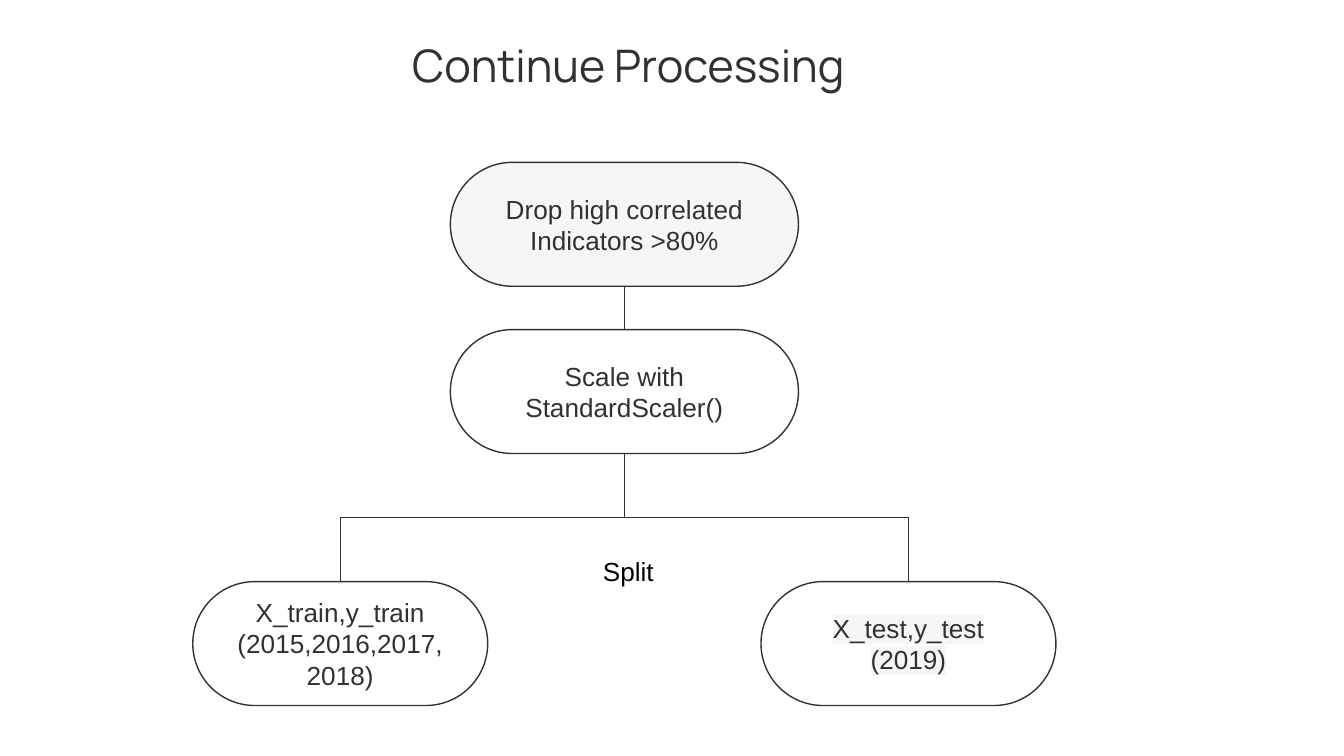
from dataclasses import dataclass

from pptx import Presentation
from pptx.dml.color import RGBColor
from pptx.enum.shapes import MSO_CONNECTOR, MSO_SHAPE
from pptx.enum.text import MSO_ANCHOR, PP_ALIGN
from pptx.oxml.ns import qn
from pptx.oxml.xmlchemy import OxmlElement
from pptx.util import Pt


@dataclass(frozen=True)
class Theme:
    ink: str = "313131"
    label: str = "000000"
    panel: str = "F6F6F8"
    title_font: str = "Manrope"
    body_font: str = "Arial"
    title_size: int = 24
    body_size: int = 14
    line_width: float = 0.75
    inset: float = 7.2


THEME = Theme()
SLIDE_SIZE = (720, 405)
AXIS = 334.5
STEP_HEIGHT = 66.4
STEP_WIDTH, SPLIT_WIDTH = 186.5, 158
SPLIT_OFFSET = 152.2

TITLE = ("Continue Processing", (198, 10.8, 277.2, 47.5))
SPLIT_LABEL = ("Split", (288, 290.2, 97.2, 31.7))
STEPS = {
    "drop": ("Drop high correlated Indicators >80%", AXIS, 87, STEP_WIDTH),
    "scale": ("Scale with StandardScaler()", AXIS, 176.6, STEP_WIDTH),
    "train": ("X_train,y_train\n(2015,2016,2017, 2018)", AXIS - SPLIT_OFFSET, 311.6, SPLIT_WIDTH),
    "test": ("X_test,y_test\n(2019)", AXIS + SPLIT_OFFSET, 311.6, SPLIT_WIDTH),
}
FILLED, HIGHLIGHTED = "drop", "test"
LINKS = [("drop", "scale"), ("scale", "train"), ("scale", "test")]


def write(shape, text, size, font, color, anchor, highlight=None):
    frame = shape.text_frame
    frame.text = text
    frame.word_wrap = True
    frame.vertical_anchor = anchor
    frame.margin_left = frame.margin_right = Pt(THEME.inset)
    frame.margin_top = frame.margin_bottom = Pt(THEME.inset)
    for paragraph in frame.paragraphs:
        paragraph.alignment = PP_ALIGN.CENTER
        for run in paragraph.runs:
            run.font.size = Pt(size)
            run.font.color.rgb = RGBColor.from_string(color)
            run.font.name = font
            if highlight:
                marker = OxmlElement("a:highlight")
                swatch = OxmlElement("a:srgbClr")
                swatch.set("val", highlight)
                marker.append(swatch)
                run.font._element.find(qn("a:latin")).addprevious(marker)


def add_text(slide, content, size, font, color, anchor):
    text, box = content
    shape = slide.shapes.add_textbox(*map(Pt, box))
    write(shape, text, size, font, color, anchor)


def draw_line(line):
    line.color.rgb = RGBColor.from_string(THEME.ink)
    line.width = Pt(THEME.line_width)


def add_step(slide, name):
    text, center, top, width = STEPS[name]
    shape = slide.shapes.add_shape(
        MSO_SHAPE.ROUNDED_RECTANGLE, Pt(center - width / 2), Pt(top), Pt(width), Pt(STEP_HEIGHT)
    )
    shape.adjustments[0] = 0.5
    shape.shadow.inherit = False
    draw_line(shape.line)
    if name == FILLED:
        shape.fill.solid()
        shape.fill.fore_color.rgb = RGBColor.from_string(THEME.panel)
    else:
        shape.fill.background()
    highlight = THEME.panel if name == HIGHLIGHTED else None
    write(shape, text, THEME.body_size, THEME.body_font, THEME.ink, MSO_ANCHOR.MIDDLE, highlight)
    return shape


def add_link(slide, shapes, start, end):
    start_x, start_y = STEPS[start][1], STEPS[start][2] + STEP_HEIGHT
    end_x, end_y = STEPS[end][1], STEPS[end][2]
    kind = MSO_CONNECTOR.STRAIGHT if start_x == end_x else MSO_CONNECTOR.ELBOW
    connector = slide.shapes.add_connector(kind, Pt(start_x), Pt(start_y), Pt(end_x), Pt(end_y))
    connector.begin_connect(shapes[start], 2)
    connector.end_connect(shapes[end], 0)
    properties = connector._element.spPr
    if kind == MSO_CONNECTOR.ELBOW:
        drop, span = end_y - start_y, abs(end_x - start_x)
        connector.left = Pt((start_x + end_x - drop) / 2)
        connector.top = Pt((start_y + end_y - span) / 2)
        connector.width, connector.height = Pt(drop), Pt(span)
        goes_right = end_x > start_x
        transform = properties.find(qn("a:xfrm"))
        transform.set("rot", str((270 if goes_right else 90) * 60000))
        transform.set("flipH", "1" if goes_right else "0")
    draw_line(connector.line)
    properties.append(OxmlElement("a:effectLst"))


def main():
    """Build the processing flow slide and save it."""
    presentation = Presentation()
    presentation.slide_width, presentation.slide_height = map(Pt, SLIDE_SIZE)
    slide = presentation.slides.add_slide(presentation.slide_layouts[6])
    add_text(slide, TITLE, THEME.title_size, THEME.title_font, THEME.ink, MSO_ANCHOR.MIDDLE)
    shapes = {name: add_step(slide, name) for name in STEPS}
    for start, end in LINKS:
        add_link(slide, shapes, start, end)
    add_text(slide, SPLIT_LABEL, THEME.body_size, THEME.body_font, THEME.label, MSO_ANCHOR.TOP)
    presentation.save("out.pptx")


if __name__ == "__main__":
    main()
